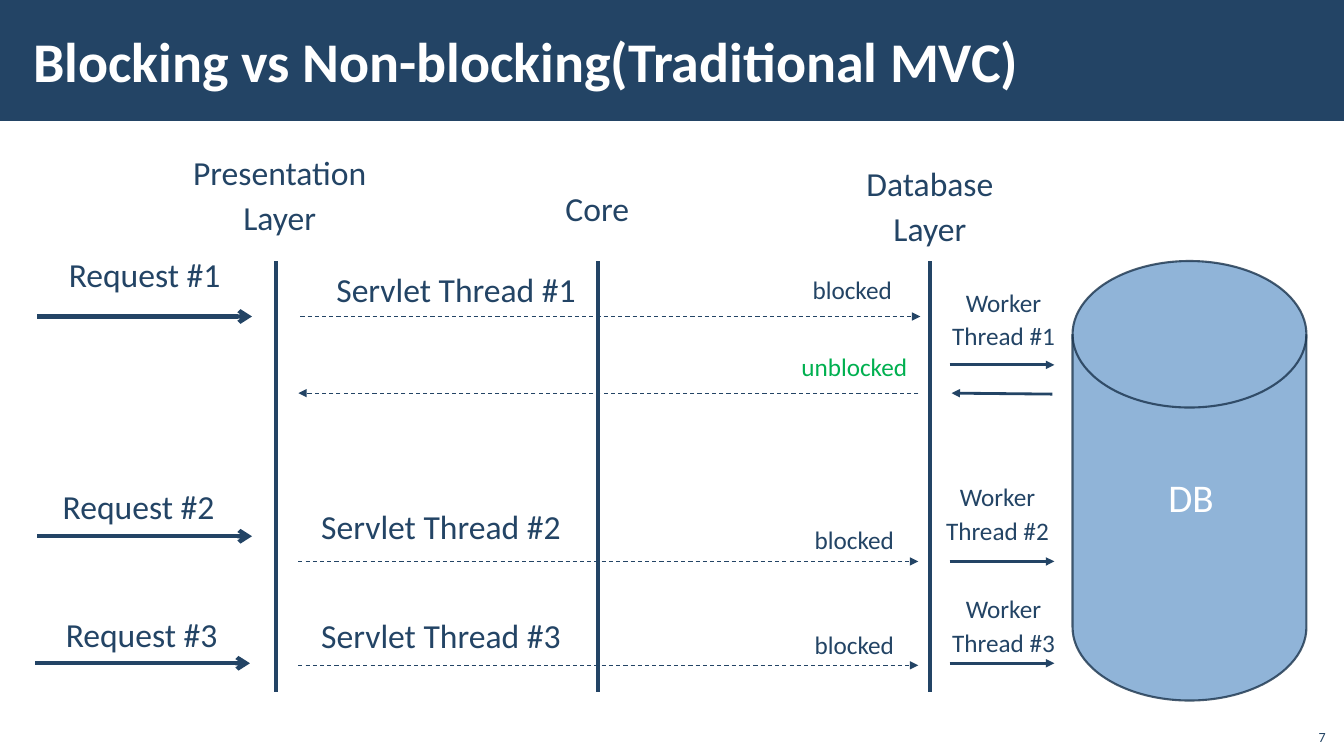
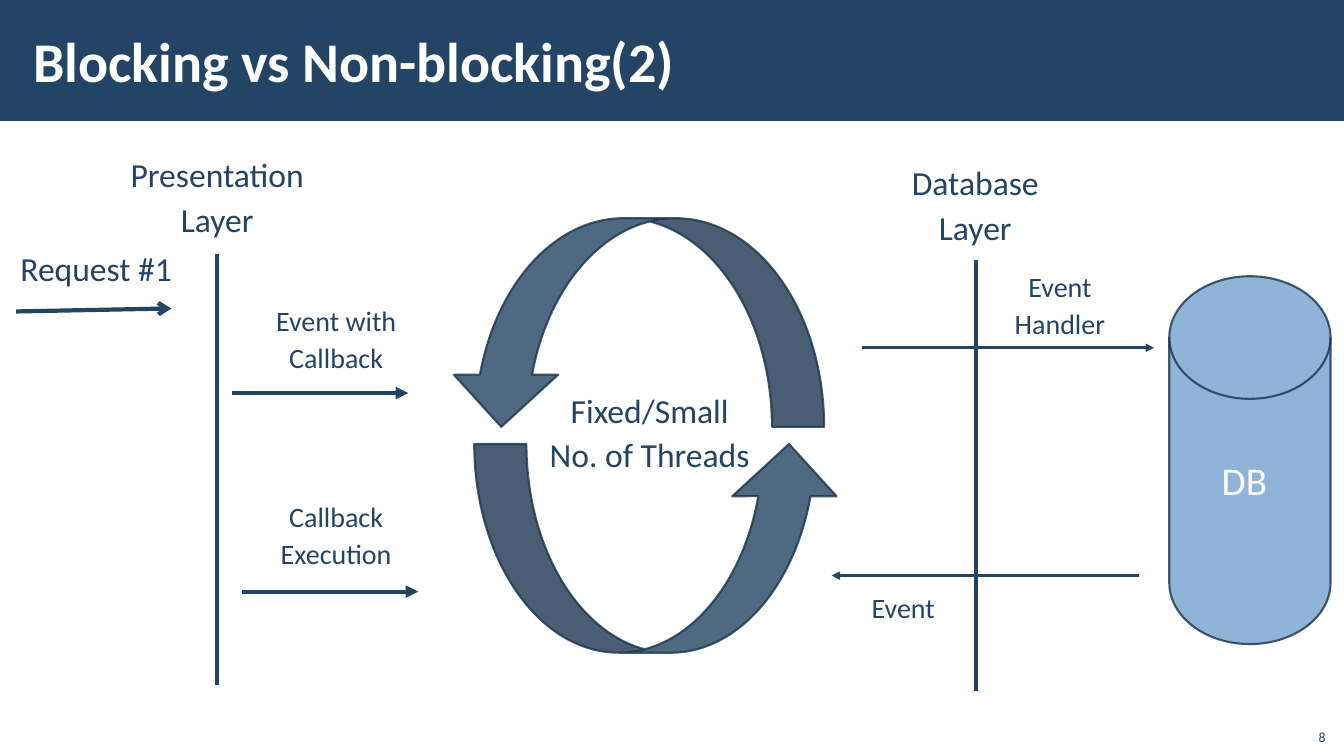
from lxml.etree import SubElement
from pptx import Presentation
from pptx.dml.color import RGBColor
from pptx.enum.dml import MSO_LINE as Dash
from pptx.enum.shapes import MSO_CONNECTOR as Connector, MSO_SHAPE as Preset
from pptx.enum.text import MSO_ANCHOR as Anchor, PP_ALIGN as Align
from pptx.oxml.ns import qn
from pptx.util import Inches, Pt

NAVY = RGBColor(0x23, 0x44, 0x65)
OUTLINE = RGBColor(0x1A, 0x33, 0x4C)
SKY = RGBColor(0x90, 0xB4, 0xD8)
GREEN = RGBColor(0x00, 0xB0, 0x50)
WHITE = RGBColor(0xFF, 0xFF, 0xFF)
FONT = "Calibri"
CELL = Inches(0.1)
COLUMNS, ROWS = 133.33, 75
LAYER_ROWS = 42.8


def add_text(slide, text, box, size, color=NAVY, bold=False, align=Align.CENTER,
             anchor=Anchor.TOP, inset=(1.6, 1.2), spacing=1.1):
    frame = slide.shapes.add_textbox(*(int(v * CELL) for v in box)).text_frame
    frame.word_wrap = True
    frame.vertical_anchor = anchor
    frame.margin_left = frame.margin_right = int(inset[0] * CELL)
    frame.margin_top = frame.margin_bottom = int(inset[1] * CELL)
    paragraph = frame.paragraphs[0]
    paragraph.alignment = align
    paragraph.line_spacing = spacing
    for index, line in enumerate(text.split("\n")):
        if index:
            paragraph.add_line_break()
        run = paragraph.add_run()
        run.text = line
        run.font.name = FONT
        run.font.size = Pt(size)
        run.font.bold = bold
        run.font.color.rgb = color


def add_line(slide, ends, weight=3, arrow=None, dash=None):
    connector = slide.shapes.add_connector(
        Connector.STRAIGHT, *(int(v * CELL) for v in ends))
    connector.line.color.rgb = NAVY
    connector.line.width = Pt(weight)
    if dash:
        connector.line.dash_style = dash
    properties = connector.element.spPr
    if arrow:
        SubElement(properties.find(qn("a:ln")), qn("a:tailEnd"), type=arrow)
    SubElement(properties, qn("a:effectLst"))


presentation = Presentation()
presentation.slide_width = int(COLUMNS * CELL)
presentation.slide_height = ROWS * CELL
blank = presentation.slide_layouts[6]

titles = ["Blocking vs Non-blocking(Traditional MVC)", "Blocking vs Non-blocking(2)"]
for number, title in enumerate(titles, start=7):
    slide = presentation.slides.add_slide(blank)
    band = slide.shapes.add_shape(Preset.RECTANGLE, 0, 0, presentation.slide_width, 12 * CELL)
    band.shadow.inherit = False
    band.fill.solid()
    band.fill.fore_color.rgb = NAVY
    band.line.fill.background()
    add_text(slide, title, (2.1, 1.1, 106.3, 9.7), 40, WHITE, True, Align.LEFT,
             Anchor.MIDDLE, (1.2, 0.4), 1)
    add_text(slide, str(number), (128.5, 71.2, 4, 3.2), 10, align=Align.RIGHT,
             anchor=Anchor.BOTTOM, inset=(1, 0.5), spacing=1)
blocking, event_loop = presentation.slides

OUTLINE_ONLY, ALL_COLORS = ".//a:ln//a:srgbClr", ".//a:srgbClr"
solids = [
    (blocking, Preset.FLOWCHART_MAGNETIC_DISK, (106.4, 25.9, 23.2, 43.6), 0, SKY, OUTLINE_ONLY),
    (event_loop, Preset.CURVED_RIGHT_ARROW, (54.9, 36.2, 20.7, 36.4), 270, NAVY, ALL_COLORS),
    (event_loop, Preset.CURVED_RIGHT_ARROW, (52.8, 13.4, 20.7, 37.2), 90, NAVY, ALL_COLORS),
    (event_loop, Preset.FLOWCHART_MAGNETIC_DISK, (116, 27.4, 16, 36.5), 0, SKY, OUTLINE_ONLY),
]
for slide, preset, box, rotation, fill, translucent in solids:
    shape = slide.shapes.add_shape(preset, *(int(v * CELL) for v in box))
    shape.shadow.inherit = False
    shape.rotation = rotation
    shape.fill.solid()
    shape.fill.fore_color.rgb = fill
    shape.line.color.rgb = OUTLINE
    shape.line.width = Pt(1.5)
    for color in shape.element.xpath(translucent):
        SubElement(color, qn("a:alpha"), val="80000")

layers = [
    (blocking, 27.4, 25.9), (blocking, 59.3, 25.9), (blocking, 92.3, 25.9),
    (event_loop, 21.5, 25.2), (event_loop, 96.8, 25.8),
]
for slide, column, top in layers:
    add_line(slide, (column, top, column, top + LAYER_ROWS))

headings = [
    (blocking, "Presentation\nLayer", 16.5, 13.5),
    (blocking, "Core", 48, 17),
    (blocking, "Database\nLayer", 81, 14.6),
    (event_loop, "Presentation\nLayer", 10.3, 13.7),
    (event_loop, "Database\nLayer", 85.5, 14.5),
]
for slide, heading, left, top in headings:
    add_text(slide, heading, (left, top, 22.5, 11.3), 24)

requests = [
    ((3.7, 31.4), (3.1, 23.6), (31.7, 25.1), (29.8, 31.4), (76.8, 25.7), (91.8, 27), 36.2),
    ((3.7, 53.2), (2.5, 46.6), (30.2, 48.6), (29.6, 55.7), (77, 50.5), (91.2, 46.3), 55.7),
    ((3.5, 65.8), (2.8, 59.3), (30.2, 59.4), (29.6, 66), (77, 60.9), (91.8, 57.4), 65.8),
]
for number, (arrow, request, servlet, thread, state, worker, worker_row) in enumerate(requests, 1):
    add_line(blocking, (*arrow, arrow[0] + 21.3, arrow[1]), arrow="arrow")
    add_line(blocking, (*thread, thread[0] + 61.5, thread[1]), 0.75, "triangle", Dash.DASH)
    add_line(blocking, (94.2, worker_row, 104.6, worker_row), 2, "triangle")
    add_text(blocking, f"Request #{number}", (*request, 22.5, 6.6), 24)
    add_text(blocking, f"Servlet Thread #{number}", (*servlet, 27.1, 6.8), 24)
    add_text(blocking, "blocked", (*state, 15.5, 5.7), 18)
    add_text(blocking, f"Worker Thread #{number}", (*worker, 15.5, 9), 18)

add_line(blocking, (91.1, 39, 29.6, 39), 0.75, "triangle", Dash.DASH)
add_line(blocking, (104.4, 39.1, 94.4, 39), 2, "triangle")
add_text(blocking, "unblocked", (77, 33.4, 15.5, 5.7), 18, GREEN)
add_text(blocking, "DB", (111.1, 45.3, 14.1, 7.3), 28, WHITE)

event_arrows = [
    ((1.6, 30.9, 17, 30.6), 3, "arrow"),
    ((23, 39, 40.5, 39), 3, "triangle"),
    ((24, 58.7, 41.5, 58.7), 3, "triangle"),
    ((85.5, 34.5, 114.5, 34.5), 2, "triangle"),
    ((113, 57.1, 82.5, 57.1), 2, "triangle"),
]
for ends, weight, arrow in event_arrows:
    add_line(event_loop, ends, weight, arrow)

event_labels = [
    ("Request #1", (0, 23, 19.1, 6.6), 24, NAVY),
    ("Event with Callback", (23, 28.6, 20.7, 9.6), 20, NAVY),
    ("Callback\nExecution", (22.1, 48, 22.5, 9.6), 20, NAVY),
    ("Event\nHandler", (93.9, 25.2, 22.5, 9.6), 20, NAVY),
    ("Event", (83, 57, 13.2, 5.9), 20, NAVY),
    ("Fixed/Small\nNo. of Threads", (50, 37.1, 28.9, 11.3), 24, NAVY),
    ("DB", (116.4, 43.6, 14.1, 7.3), 28, WHITE),
]
for label, box, size, color in event_labels:
    add_text(event_loop, label, box, size, color)

presentation.save("out.pptx")
